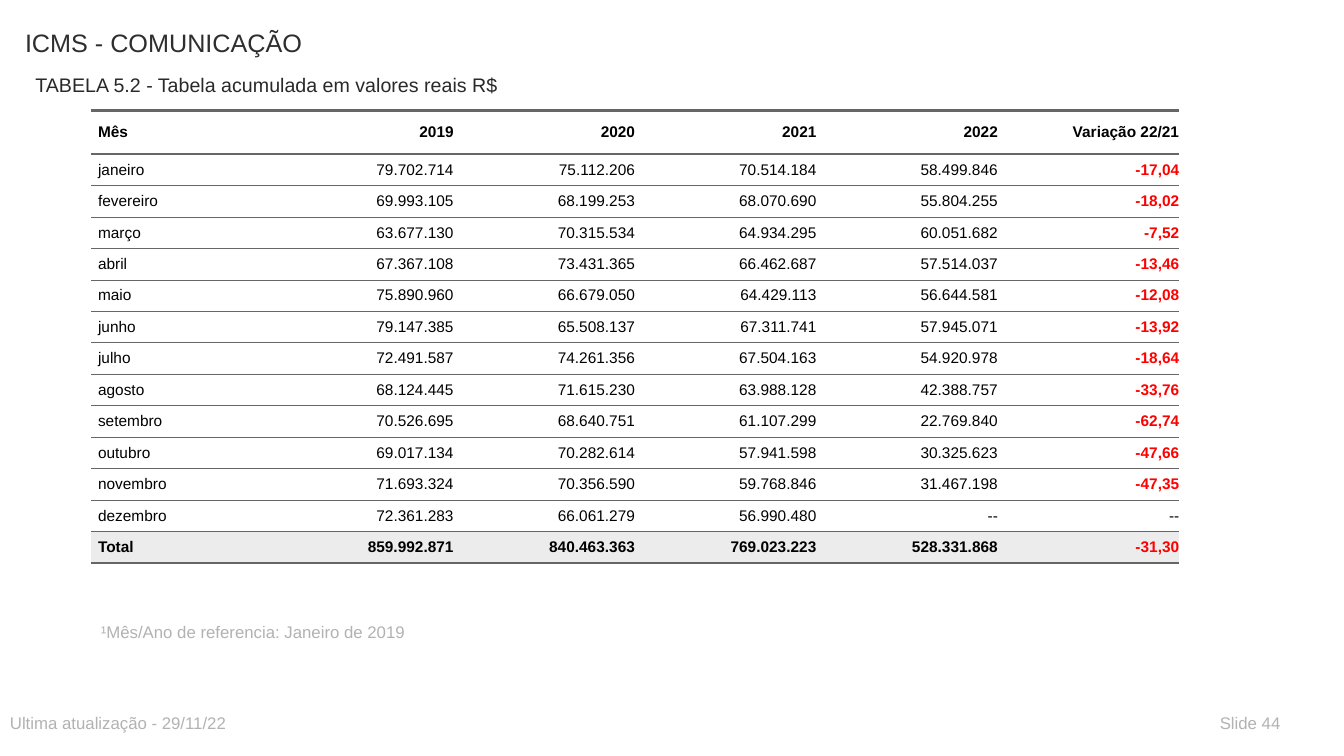
from pptx import Presentation
from pptx.dml.color import RGBColor
from pptx.enum.text import MSO_ANCHOR, MSO_AUTO_SIZE, PP_ALIGN
from pptx.oxml import parse_xml
from pptx.oxml.ns import nsdecls, qn
from pptx.util import Cm, Pt

HEADER = ("Mês", "2019", "2020", "2021", "2022", "Variação 22/21")
MONTHS = [
    ("janeiro", "79.702.714", "75.112.206", "70.514.184", "58.499.846", "-17,04"),
    ("fevereiro", "69.993.105", "68.199.253", "68.070.690", "55.804.255", "-18,02"),
    ("março", "63.677.130", "70.315.534", "64.934.295", "60.051.682", "-7,52"),
    ("abril", "67.367.108", "73.431.365", "66.462.687", "57.514.037", "-13,46"),
    ("maio", "75.890.960", "66.679.050", "64.429.113", "56.644.581", "-12,08"),
    ("junho", "79.147.385", "65.508.137", "67.311.741", "57.945.071", "-13,92"),
    ("julho", "72.491.587", "74.261.356", "67.504.163", "54.920.978", "-18,64"),
    ("agosto", "68.124.445", "71.615.230", "63.988.128", "42.388.757", "-33,76"),
    ("setembro", "70.526.695", "68.640.751", "61.107.299", "22.769.840", "-62,74"),
    ("outubro", "69.017.134", "70.282.614", "57.941.598", "30.325.623", "-47,66"),
    ("novembro", "71.693.324", "70.356.590", "59.768.846", "31.467.198", "-47,35"),
    ("dezembro", "72.361.283", "66.061.279", "56.990.480", "--", "--"),
]
TOTAL = ("Total", "859.992.871", "840.463.363", "769.023.223", "528.331.868", "-31,30")
NO_STYLE = "{2D5ABB26-0587-4C30-8999-92F81FD0307C}"


def color(value):
    return RGBColor.from_string(value)


class Report:
    font = "Arial"
    ink, negative, muted = "000000", "FF0000", "B2B2B2"
    rule, white, total_fill = "666666", "FFFFFF", "ECECEC"
    thin, thick = 0.5, 2

    def __init__(self, page):
        self.page = page

    def span(self, para, text, size, tint, bold=False):
        span = para.add_run()
        span.text = text
        span.font.name = self.font
        span.font.size = Pt(size)
        span.font.bold = bold
        span.font.color.rgb = color(tint)

    def text(self, index, place, text, size, tint):
        """Move a placeholder and fill it with one unbulleted line."""
        box = self.page.placeholders[index]
        box.left, box.top, box.width, box.height = (Cm(length) for length in place)
        frame = box.text_frame
        frame.word_wrap = True
        frame.auto_size = MSO_AUTO_SIZE.NONE
        frame.vertical_anchor = MSO_ANCHOR.TOP
        frame.margin_left = frame.margin_right = Cm(0.25)
        frame.margin_top = Cm(0.18)
        para = frame.paragraphs[0]
        properties = para._p.get_or_add_pPr()
        properties.set("marL", "0")
        properties.set("indent", "0")
        properties.append(parse_xml(f"<a:buNone {nsdecls('a')}/>"))
        para.alignment = PP_ALIGN.LEFT
        para.space_before = Pt(0)
        self.span(para, text, size, tint)

    def border(self, cell, side, width):
        line = parse_xml(
            f'<a:{side} {nsdecls("a")} w="{Pt(width)}"><a:solidFill>'
            f'<a:srgbClr val="{self.rule}"/></a:solidFill></a:{side}>')
        cell._tc.get_or_add_tcPr().insert(0, line)

    def cell(self, cell, text, first, bold, fill, top, bottom):
        cell.margin_left = cell.margin_right = 0
        cell.margin_top = cell.margin_bottom = Cm(0.18)
        cell.vertical_anchor = MSO_ANCHOR.MIDDLE
        cell.fill.solid()
        cell.fill.fore_color.rgb = color(fill)
        self.border(cell, "lnB", bottom)
        self.border(cell, "lnT", top)
        para = cell.text_frame.paragraphs[0]
        para.alignment = PP_ALIGN.LEFT if first else PP_ALIGN.RIGHT
        para._p.get_or_add_pPr().set("marL", str(Cm(0.18)))
        falling = text.startswith("-") and text != "--"
        self.span(para, text, 11, self.negative if falling else self.ink, bold or falling)

    def table(self, left, top, column_width, header_height, row_height, rows):
        last = len(rows) - 1
        frame = self.page.shapes.add_table(
            len(rows), len(rows[0]), Cm(left), Cm(top),
            Cm(column_width * len(rows[0])), Cm(header_height + row_height * last))
        table = frame.table
        table.first_row = table.horz_banding = False
        table._tbl.tblPr.find(qn("a:tableStyleId")).text = NO_STYLE
        for column in table.columns:
            column.width = Cm(column_width)
        for i, values in enumerate(rows):
            table.rows[i].height = Cm(row_height if i else header_height)
            for j, value in enumerate(values):
                self.cell(
                    table.cell(i, j), value, first=j == 0, bold=i in (0, last),
                    fill=self.total_fill if i == last else self.white,
                    top=self.thick if i < 2 else self.thin,
                    bottom=self.thick if i in (0, last) else self.thin)


def main():
    deck = Presentation()
    deck.slide_width, deck.slide_height = Cm(33.86), Cm(19.05)
    # The comparison layout offers one title and four body placeholders
    report = Report(deck.slides.add_slide(deck.slide_layouts[4]))

    # Headings
    report.text(0, (0.38, 0.51, 20.32, 1.5), "ICMS - COMUNICAÇÃO", 18, "2D2E2D")
    report.text(1, (0.64, 1.65, 16.51, 0.76),
                "TABELA 5.2 - Tabela acumulada em valores reais R$", 14, "292929")

    # Monthly revenue
    report.table(2.29, 2.79, 4.57, 1.09, 0.78, [HEADER, *MONTHS, TOTAL])

    # Footnote and footer
    report.text(2, (2.29, 15.49, 16.51, 0.76),
                "¹Mês/Ano de referencia: Janeiro de 2019", 12, report.muted)
    report.text(3, (0, 17.78, 16.51, 0.76),
                "Ultima atualização - 29/11/22", 12, report.muted)
    report.text(4, (30.48, 17.78, 2.29, 0.76), "Slide 44", 12, report.muted)

    deck.save("out.pptx")


if __name__ == "__main__":
    main()
